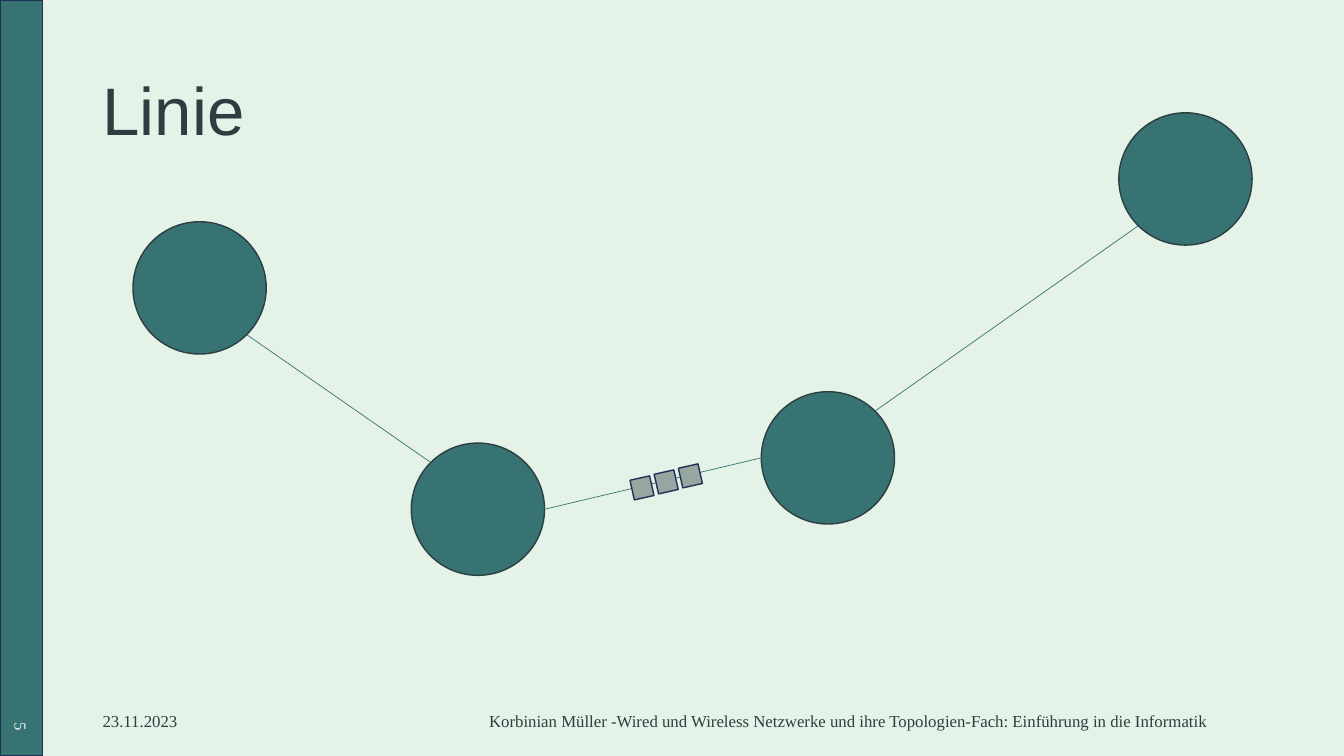
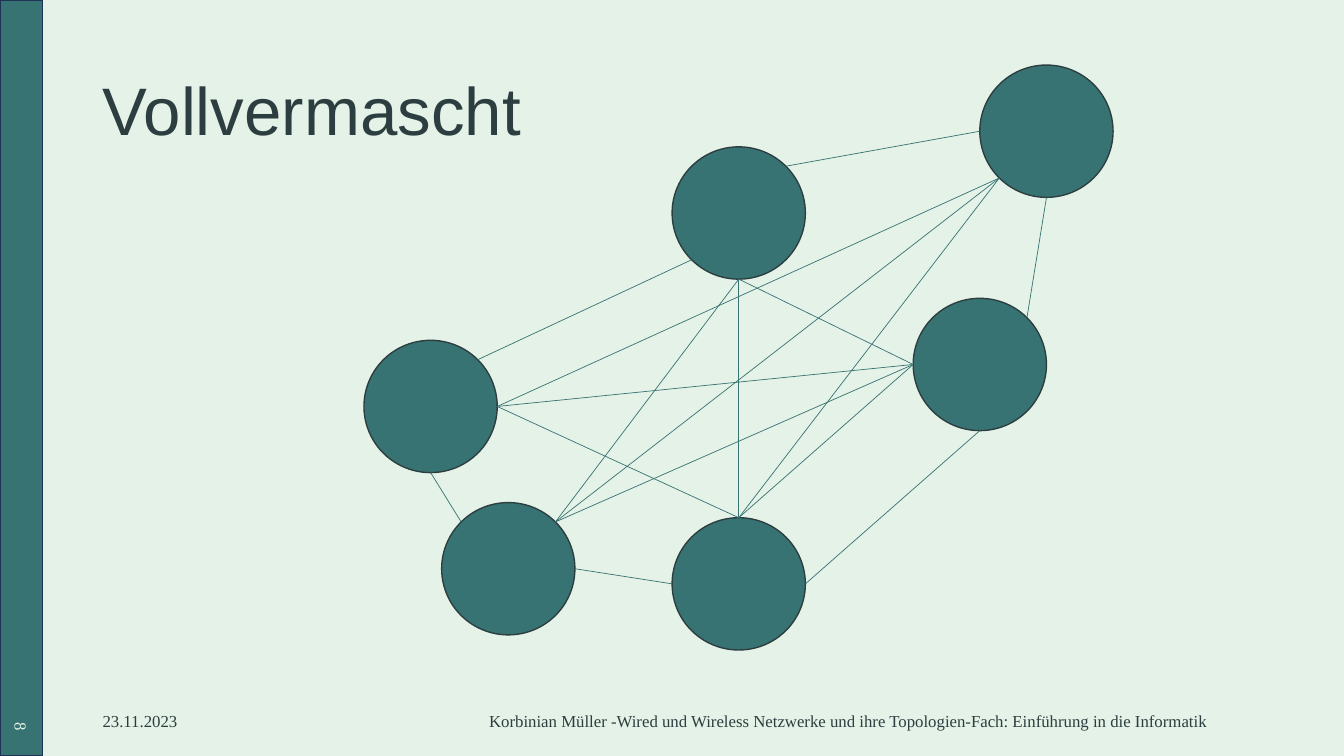
from collections import namedtuple
from dataclasses import dataclass
from math import cos, radians, sin

from lxml.etree import SubElement
from pptx import Presentation
from pptx.dml.color import RGBColor as Color
from pptx.enum.shapes import MSO_CONNECTOR as Connector, MSO_SHAPE as Preset
from pptx.enum.text import MSO_ANCHOR as Anchor, PP_ALIGN as Align
from pptx.oxml.ns import qn
from pptx.util import Pt

Box = namedtuple("Box", "left top width height")


@dataclass(frozen=True)
class Theme:
    background: Color = Color.from_string("E4F2E7")
    teal: Color = Color.from_string("387373")
    ink: Color = Color.from_string("2D3E40")
    navy: Color = Color.from_string("1E3256")
    packet: Color = Color.from_string("97A6A0")
    title_font: str = "Arial"
    body_font: str = "Times New Roman"
    title_size: float = 48
    footer_size: float = 12
    outline: float = 1
    link: float = 0.5


THEME = Theme()
SLIDE = Box(0, 0, 960, 540)
BAND = Box(0, 0, 30.2, 540)
TITLE = Box(66.2, 28.8, 828, 104.4)
FOOTER = Box(66.2, 500.4, 828, 28.8)
DATE_WIDTH = 216
FOOTER_TEXT_WIDTH = 576
NUMBER = Box(-13.2, 486, 56.9, 28.8)
NODE_WIDTH, NODE_HEIGHT = 95.2, 94.5
PACKET_SIZE = 14.4

DATE = "23.11.2023"
FOOTER_TEXT = ("Korbinian Müller -Wired und Wireless Netzwerke und ihre "
               "Topologien-Fach: Einführung in die Informatik")

SITES = ["N", "NW", "W", "SW", "S", "SE", "E", "NE"]


def apply_format(target, **values):
    for name, value in values.items():
        setattr(target, name, value)


def lengths(box):
    return [Pt(value) for value in box]


def add_filled(slide, preset, box, fill, line, rotation=0):
    shape = slide.shapes.add_shape(preset, *lengths(box))
    shape.shadow.inherit = False
    shape.rotation = rotation
    shape.fill.solid()
    shape.fill.fore_color.rgb = fill
    shape.line.color.rgb = line
    shape.line.width = Pt(THEME.outline)
    return shape


def add_label(slide, box, text, font, size, color, align=Align.LEFT, spacing=1.0, rotation=0):
    shape = slide.shapes.add_textbox(*lengths(box))
    shape.rotation = rotation
    apply_format(shape.text_frame, word_wrap=True, vertical_anchor=Anchor.MIDDLE)
    paragraph = shape.text_frame.paragraphs[0]
    paragraph.text = text
    apply_format(paragraph, alignment=align, line_spacing=spacing)
    apply_format(paragraph.font, name=font, size=Pt(size))
    paragraph.font.color.rgb = color


def add_title(slide, box, text):
    add_label(slide, box, text, THEME.title_font, THEME.title_size, THEME.ink, spacing=0.9)


def add_footer(slide, box):
    text_left = box.left + box.width - FOOTER_TEXT_WIDTH
    style = (THEME.body_font, THEME.footer_size, THEME.ink)
    add_label(slide, box._replace(width=DATE_WIDTH), DATE, *style)
    add_label(slide, box._replace(left=text_left, width=FOOTER_TEXT_WIDTH),
              FOOTER_TEXT, *style, align=Align.CENTER)


def add_frame(presentation, title, number):
    slide = presentation.slides.add_slide(presentation.slide_layouts[6])
    add_filled(slide, Preset.RECTANGLE, BAND, THEME.teal, THEME.navy)
    add_title(slide, TITLE, title)
    add_footer(slide, FOOTER)
    add_label(slide, NUMBER, number, THEME.body_font, THEME.footer_size,
              THEME.background, align=Align.RIGHT, rotation=90)
    return slide


def site_point(node, site):
    angle = radians(90 + 45 * SITES.index(site))
    return (round(node.left + node.width / 2 * (1 + cos(angle))),
            round(node.top + node.height / 2 * (1 - sin(angle))))


def add_link(slide, start, start_site, end, end_site):
    connector = slide.shapes.add_connector(
        Connector.STRAIGHT, *site_point(start, start_site), *site_point(end, end_site))
    connector.line.color.rgb = THEME.teal
    connector.line.width = Pt(THEME.link)
    SubElement(connector._element.spPr, qn("a:effectLst"))
    properties = connector._element.find(".//" + qn("p:cNvCxnSpPr"))
    for tag, node, site in (("a:stCxn", start, start_site), ("a:endCxn", end, end_site)):
        SubElement(properties, qn(tag), id=str(node.shape_id), idx=str(SITES.index(site)))


def add_network(slide, box, places, links):
    nodes = {
        name: add_filled(slide, Preset.OVAL,
                         Box(box.left + left, box.top + top, NODE_WIDTH, NODE_HEIGHT),
                         THEME.teal, THEME.ink)
        for name, (left, top) in places.items()
    }
    for start, start_site, end, end_site in links:
        add_link(slide, nodes[start], start_site, nodes[end], end_site)


def add_packets(slide, box, count, rotation):
    step_x = (box.width - PACKET_SIZE) / (count - 1)
    step_y = (box.height - PACKET_SIZE) / (count - 1)
    for index in range(count):
        left = box.left + index * step_x
        top = box.top + (count - 1 - index) * step_y
        add_filled(slide, Preset.RECTANGLE, Box(left, top, PACKET_SIZE, PACKET_SIZE),
                   THEME.packet, THEME.navy, rotation)


def build_line(presentation):
    slide = add_frame(presentation, "Linie", "5")
    box = Box(95, 80.6, 799.4, 330.7)
    places = {
        "first": (0, 77.8),
        "second": (198.8, 235.9),
        "third": (448.8, 199.2),
        "fourth": (704.2, 0),
    }
    links = [
        ("first", "SE", "second", "NW"),
        ("second", "E", "third", "W"),
        ("third", "NE", "fourth", "SW"),
    ]
    add_network(slide, box, places, links)
    packets = Box(box.left + 356.4, box.top + 252.1, 49, 23)
    add_packets(slide, packets, 3, 347.3)


def build_mesh(presentation):
    slide = add_frame(presentation, "Vollvermascht", "8")
    box = Box(260, 46.5, 535, 417.8)
    places = {
        "top": (220.1, 58.4),
        "left": (0, 196.6),
        "bottom": (220.1, 323.3),
        "right": (392.3, 166.6),
        "lower left": (55.5, 312.5),
        "upper right": (439.9, 0),
    }
    links = [
        ("left", "NE", "top", "SW"),
        ("left", "E", "right", "W"),
        ("left", "S", "lower left", "NW"),
        ("left", "E", "bottom", "N"),
        ("left", "E", "upper right", "SW"),
        ("bottom", "N", "top", "S"),
        ("bottom", "E", "right", "S"),
        ("bottom", "N", "right", "W"),
        ("bottom", "N", "upper right", "SW"),
        ("lower left", "E", "bottom", "W"),
        ("lower left", "NE", "upper right", "SW"),
        ("lower left", "NE", "right", "W"),
        ("top", "S", "lower left", "NE"),
        ("top", "S", "right", "W"),
        ("top", "NE", "upper right", "W"),
        ("right", "NE", "upper right", "S"),
    ]
    add_network(slide, box, places, links)


def main():
    presentation = Presentation()
    apply_format(presentation, slide_width=Pt(SLIDE.width), slide_height=Pt(SLIDE.height))
    background = presentation.slide_master.background.fill
    background.solid()
    background.fore_color.rgb = THEME.background
    build_line(presentation)
    build_mesh(presentation)
    presentation.save("out.pptx")


if __name__ == "__main__":
    main()
